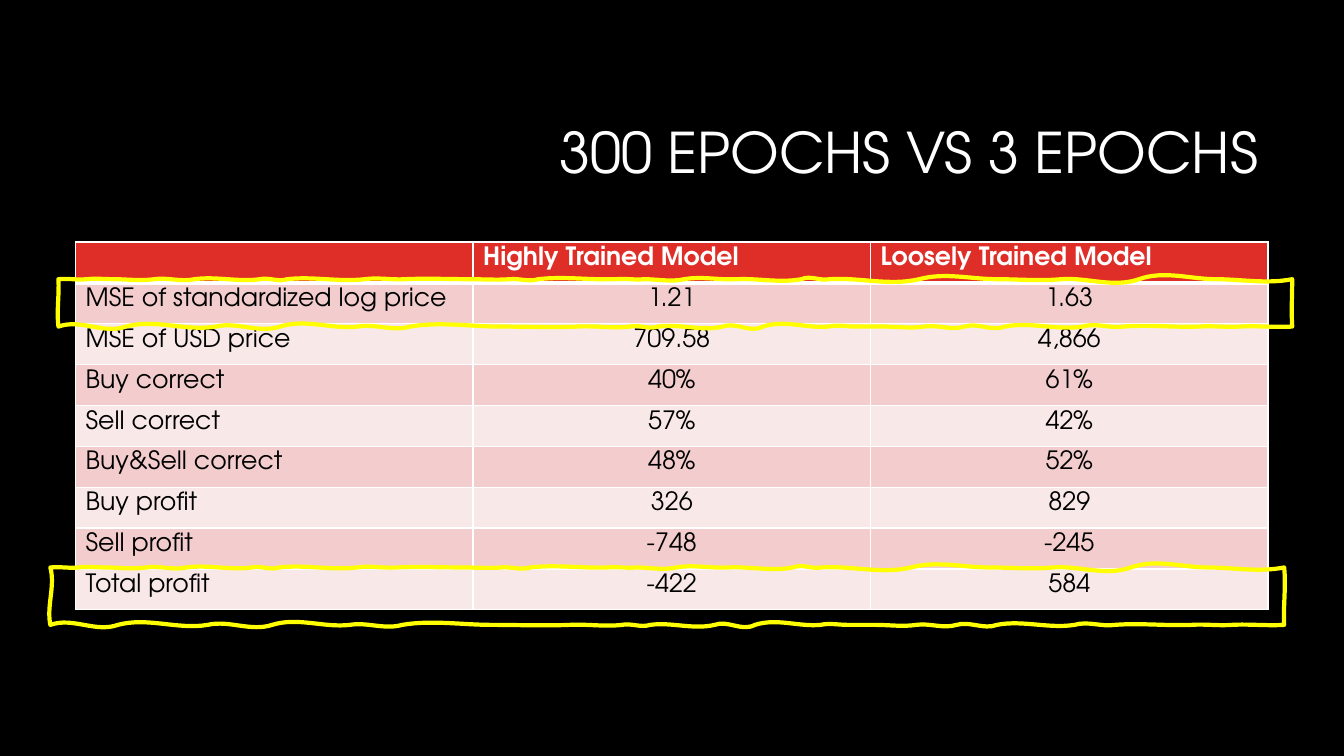
from typing import NamedTuple

from lxml.etree import SubElement
from pptx import Presentation
from pptx.dml.color import RGBColor
from pptx.enum.text import MSO_ANCHOR, PP_ALIGN
from pptx.oxml.ns import qn
from pptx.shapes.autoshape import Shape
from pptx.slide import Slide
from pptx.table import _Cell
from pptx.text.text import TextFrame
from pptx.util import Inches, Pt

FONT = "TeX Gyre Adventor"
BLACK = RGBColor(0x00, 0x00, 0x00)
WHITE = RGBColor(0xFF, 0xFF, 0xFF)
RED = RGBColor(0xDF, 0x2E, 0x28)
PINK = RGBColor(0xF3, 0xCD, 0xCD)
PALE_PINK = RGBColor(0xF9, 0xE8, 0xE8)
YELLOW = RGBColor(0xFF, 0xFF, 0x00)

ROWS = [
    ("", "Highly Trained Model", "Loosely Trained Model"),
    ("MSE of standardized log price", "1.21", "1.63"),
    ("MSE of USD price", "709.58", "4,866"),
    ("Buy correct", "40%", "61%"),
    ("Sell correct", "57%", "42%"),
    ("Buy&Sell correct", "48%", "52%"),
    ("Buy profit", "326", "829"),
    ("Sell profit", "-748", "-245"),
    ("Total profit", "-422", "584"),
]


class Wave(NamedTuple):
    """One stretch of hand-drawn line: where it ends and its two bends off the straight."""
    x: float
    y: float
    bend_1: float
    bend_2: float


class Highlight(NamedTuple):
    left: float
    top: float
    height: float
    right_bends: tuple[float, float]
    left_bends: tuple[float, float]


WIDTH = 12.24
TOP_WAVES = [
    (0.28, -0.01, 0.01), (0.55, -0.01, 0), (0.95, 0, 0.02), (1.35, -0.02, 0.03),
    (2, -0.03, 0.03), (2.27, -0.02, 0.03), (3.04, -0.03, 0.03), (3.44, -0.02, 0.01),
    (4.08, -0.01, 0), (4.48, 0, 0.01), (4.76, -0.01, 0.03), (5.53, -0.03, 0.01),
    (5.81, -0.01, 0.01), (6.21, 0, 0.03), (6.73, -0.03, 0.01), (7.37, -0.01, 0.04),
    (7.65, -0.04, 0.02), (8.54, -0.02, 0.07), (9.31, -0.07, 0), (9.95, 0, 0.02),
    (10.72, -0.02, 0.09), (11.48, -0.09, 0), (WIDTH, 0, 0.05),
]
BOTTOM_WAVES = [
    (11.72, 0.01, -0.01), (11.32, 0.01, -0.01), (10.56, 0.01, -0.02), (10.16, 0.02, -0.04),
    (9.39, 0.04, -0.05), (8.99, 0.05, -0.04), (8.59, 0.04, -0.02), (8.19, 0.02, 0),
    (7.91, 0, 0), (7.64, 0, -0.02), (6.99, 0.02, -0.07), (6.59, 0.07, -0.05),
    (5.95, 0.05, -0.03), (5.67, 0.03, -0.02), (5.15, 0.02, -0.01), (4.38, 0.01, 0),
    (3.49, 0, -0.05), (2.97, 0.05, -0.03), (2.2, 0.03, -0.08), (1.56, 0.07, -0.05),
    (0.67, 0.05, -0.08), (0, 0.08, -0.08),
]
HIGHLIGHTS = [
    Highlight(0.58, 2.77, 0.47, (0, -0.01), (-0.02, 0.01)),
    Highlight(0.5, 5.63, 0.57, (0.02, -0.01), (-0.04, 0.05)),
]


def write(frame: TextFrame, text: str, *, size: float, color: RGBColor, bold: bool = False,
          align: PP_ALIGN = PP_ALIGN.LEFT, spacing: float = 1.0) -> None:
    para = frame.paragraphs[0]
    para.alignment = align
    para.line_spacing = spacing
    span = para.add_run()
    span.text = text
    span.font.name = FONT
    span.font.size = Pt(size)
    span.font.bold = bold
    span.font.color.rgb = color


def add_title(page: Slide, text: str) -> None:
    box = page.shapes.add_textbox(Inches(3.16), Inches(0.84), Inches(9.42), Inches(1.41))
    box.text_frame.word_wrap = True
    box.text_frame.vertical_anchor = MSO_ANCHOR.MIDDLE
    write(box.text_frame, text, size=40, color=WHITE, align=PP_ALIGN.RIGHT, spacing=0.9)


def set_borders(cell: _Cell, *, top: float, bottom: float) -> None:
    properties = cell._tc.get_or_add_tcPr()
    for position, (side, width) in enumerate(
            (("lnL", 1), ("lnR", 1), ("lnT", top), ("lnB", bottom))):
        line = SubElement(properties, qn(f"a:{side}"), w=str(Pt(width)))
        fill = SubElement(line, qn("a:solidFill"))
        SubElement(fill, qn("a:srgbClr"), val=str(WHITE))
        properties.insert(position, line)


def add_results(page: Slide) -> None:
    table = page.shapes.add_table(len(ROWS), len(ROWS[0]), Inches(0.75), Inches(2.4),
                                  Inches(11.83), Inches(3.65)).table
    for row, texts in enumerate(ROWS):
        header = row == 0
        for column, text in enumerate(texts):
            cell = table.cell(row, column)
            cell.fill.solid()
            cell.fill.fore_color.rgb = RED if header else PINK if row % 2 else PALE_PINK
            set_borders(cell, top=3 if row == 1 else 1, bottom=3 if header else 1)
            if text:
                centred = column > 0 and not header
                write(cell.text_frame, text, size=18, bold=header,
                      color=WHITE if header else BLACK,
                      align=PP_ALIGN.CENTER if centred else PP_ALIGN.LEFT)


def bend_lines(shape: Shape, waves: list[Wave]) -> None:
    """Turn each straight stretch of the outline into a cubic curve."""
    x, y = 0.0, 0.0
    for line, wave in zip(list(shape._element.iter(qn("a:lnTo"))), waves):
        curve = line.makeelement(qn("a:cubicBezTo"))
        upright = x == wave.x
        for share, bend in ((1 / 3, wave.bend_1), (2 / 3, wave.bend_2), (1, 0)):
            point_x = x + share * (wave.x - x) + (bend if upright else 0)
            point_y = y + share * (wave.y - y) + (0 if upright else bend)
            SubElement(curve, qn("a:pt"), x=str(Inches(point_x)), y=str(Inches(point_y)))
        line.getparent().replace(line, curve)
        x, y = wave.x, wave.y


def add_highlight(page: Slide, mark: Highlight) -> None:
    waves = [
        *(Wave(x, 0, *bends) for x, *bends in TOP_WAVES),
        Wave(WIDTH, mark.height, *mark.right_bends),
        *(Wave(x, mark.height, *bends) for x, *bends in BOTTOM_WAVES),
        Wave(0, 0, *mark.left_bends),
    ]
    builder = page.shapes.build_freeform(Inches(mark.left), Inches(mark.top))
    builder.add_line_segments(
        [(Inches(mark.left + wave.x), Inches(mark.top + wave.y)) for wave in waves], close=True)
    shape = builder.convert_to_shape()
    bend_lines(shape, waves)
    shape.shadow.inherit = False
    shape.fill.background()
    shape.line.color.rgb = YELLOW
    shape.line.width = Pt(3)


def main() -> None:
    deck = Presentation()
    deck.slide_width = Inches(40 / 3)
    deck.slide_height = Inches(7.5)
    page = deck.slides.add_slide(deck.slide_layouts[6])
    page.background.fill.solid()
    page.background.fill.fore_color.rgb = BLACK
    add_title(page, "300 EPOCHS VS 3 EPOCHS")
    add_results(page)
    for mark in HIGHLIGHTS:
        add_highlight(page, mark)
    deck.save("out.pptx")


if __name__ == "__main__":
    main()
